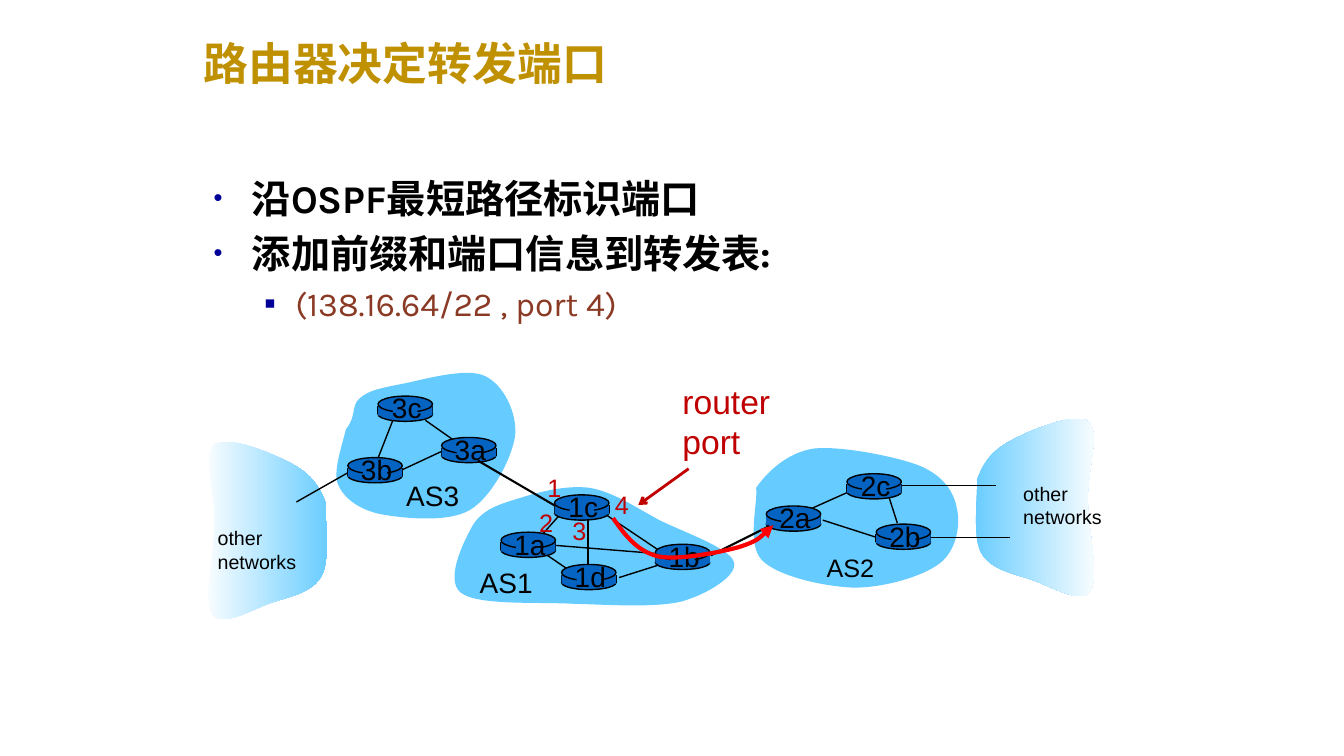
import pptx
import pptx.util
import pptx.dml.color
import pptx.enum.dml
import pptx.enum.shapes
import pptx.enum.text
import pptx.oxml
import pptx.oxml.ns

Inches, Pt = pptx.util.Inches, pptx.util.Pt
SHAPE = pptx.enum.shapes.MSO_SHAPE
ALIGN = pptx.enum.text.PP_ALIGN
ANCHOR = pptx.enum.text.MSO_ANCHOR
AUTO_SIZE = pptx.enum.text.MSO_AUTO_SIZE
qn = pptx.oxml.ns.qn

COLORS = dict(gold="BF9000", black="000000", brown="8A3A24", bullet="000099",
              cloud="66CCFF", white="FFFFFF", router="0563C1", red="FF0000", dark_red="C00000")
TITLE = "路由器决定转发端口"
BODY = [
    dict(text="沿OSPF最短路径标识端口", size=28, bold=True, bullet="•", bullet_size=65,
         left=0.38, hang=0.38),
    dict(text="添加前缀和端口信息到转发表:", size=28, bold=True, bullet="•", bullet_size=65,
         left=0.38, hang=0.38, before=5.5),
    dict(text="(138.16.64/22 , port 4)", size=24, color="brown", bullet="▪", bullet_size=100,
         left=0.81, hang=0.31, before=4.5),
]

# Each outline is a start point followed by Bezier segments (control, control, end).
AS2_CLOUD = [(7.5, 4.84), (7.61, 4.68, 7.81, 4.49, 8.07, 4.45), (8.34, 4.42, 8.89, 4.53, 9.12, 4.62),
             (9.36, 4.72, 9.46, 4.88, 9.49, 5.04), (9.53, 5.2, 9.49, 5.46, 9.32, 5.59),
             (9.15, 5.72, 8.77, 5.83, 8.47, 5.83), (8.18, 5.82, 7.72, 5.72, 7.56, 5.56),
             (7.4, 5.4, 7.52, 4.99, 7.5, 4.84)]
AS3_CLOUD = [(3.43, 4.26), (3.54, 4.13, 3.48, 4.02, 3.57, 3.95), (3.66, 3.87, 3.78, 3.85, 3.98, 3.81),
             (4.19, 3.77, 4.62, 3.64, 4.81, 3.73), (5, 3.82, 5.13, 4.1, 5.11, 4.32),
             (5.08, 4.54, 4.88, 4.93, 4.66, 5.06), (4.44, 5.19, 3.99, 5.14, 3.77, 5.1),
             (3.55, 5.05, 3.41, 4.94, 3.35, 4.8), (3.3, 4.66, 3.41, 4.37, 3.43, 4.26)]
AS1_CLOUD = [(4.69, 5.21), (4.79, 5.05, 4.96, 5, 5.16, 4.94), (5.35, 4.88, 5.62, 4.81, 5.85, 4.84),
             (6.08, 4.88, 6.3, 5.03, 6.54, 5.16), (6.78, 5.28, 7.25, 5.44, 7.28, 5.58),
             (7.32, 5.71, 7.01, 5.9, 6.75, 5.97), (6.48, 6.03, 6.04, 6, 5.68, 5.99),
             (5.32, 5.97, 4.74, 6.01, 4.57, 5.88), (4.41, 5.75, 4.6, 5.37, 4.69, 5.21)]
OUTER_CLOUD = [(9.69, 4.76), (9.75, 4.6, 9.83, 4.48, 10.01, 4.38), (10.19, 4.28, 10.66, 4.08, 10.79, 4.18),
               (10.92, 4.27, 10.78, 4.68, 10.79, 4.96), (10.79, 5.25, 10.91, 5.74, 10.81, 5.87),
               (10.72, 6, 10.41, 5.81, 10.23, 5.75), (10.05, 5.69, 9.82, 5.65, 9.73, 5.48),
               (9.64, 5.32, 9.7, 4.91, 9.69, 4.76)]
MIRROR_SUM, MIRROR_DROP = 12.92, 0.23  # the left outer cloud mirrors the right one
ROUTE = [(6.08, 5.14), (6.2, 5.31, 6.32, 5.47, 6.53, 5.52), (6.73, 5.56, 7.13, 5.48, 7.32, 5.43),
         (7.51, 5.37, 7.59, 5.29, 7.67, 5.21)]

ROUTERS = {"3b": (3.45, 4.54), "3c": (3.75, 3.93), "3a": (4.38, 4.34), "1c": (5.5, 4.91),
           "1a": (4.97, 5.28), "1d": (5.57, 5.6), "1b": (6.5, 5.4), "2a": (7.6, 5.02),
           "2c": (8.4, 4.7), "2b": (8.69, 5.2)}
LINKS = [  # x1, y1, x2, y2, width in points
    (3.99, 4.66, 4.42, 4.46, 1), (4.49, 4.36, 4.22, 4.17, 1), (3.9, 4.16, 3.74, 4.57, 1),
    (5.55, 5.11, 5.39, 5.29, 1), (5.83, 5.15, 5.83, 5.65, 1), (6, 5.1, 6.55, 5.47, 1),
    (6.55, 5.6, 6.14, 5.73, 1), (6.49, 5.49, 5.5, 5.41, 1), (5.4, 5.49, 5.62, 5.64, 1),
    (7.97, 5.08, 8.44, 4.87, 1), (8.16, 5.16, 8.69, 5.33, 1), (8.82, 4.94, 8.9, 5.19, 1),
    (8.94, 4.82, 9.88, 4.82, 0.75), (9.22, 5.33, 10.02, 5.33, 0.75), (3.45, 4.69, 2.94, 4.98, 1)]
BORDER_LINKS = [(7.05, 5.51, 7.63, 5.22, 1.5), (4.74, 4.57, 5.51, 5.02, 1.5)]
LABELS = [  # lines, box, size, colour
    (["AS3"], (3.93, 4.7, 0.73, 0.43), 20, "black"), (["AS2"], (8.1, 5.43, 0.67, 0.4), 18, "black"),
    (["AS1"], (4.66, 5.56, 0.73, 0.43), 20, "black"),
    (["other", "networks"], (10.05, 4.73, 0.99, 0.57), 14, "black"),
    (["other", "networks"], (2.06, 5.17, 0.99, 0.57), 14, "black"),
    (["router\vport"], (6.67, 3.73, 1.09, 0.91), 24, "dark_red"),
    (["1"], (5.33, 4.64, 0.34, 0.4), 18, "dark_red"), (["2"], (5.25, 4.98, 0.33, 0.4), 18, "dark_red"),
    (["3"], (5.58, 5.06, 0.34, 0.4), 18, "dark_red"), (["4"], (6, 4.81, 0.34, 0.4), 18, "dark_red")]

prs = pptx.Presentation()
prs.slide_width, prs.slide_height = Inches(13.33), Inches(7.5)
slide = prs.slides.add_slide(prs.slide_layouts[6])


def rgb(name):
    return pptx.dml.color.RGBColor.from_string(COLORS[name])


def add_bullet(p, char, percent, left, hang):
    pPr = p._p.get_or_add_pPr()
    pPr.set("marL", str(Inches(left)))
    pPr.set("indent", str(-Inches(hang)))
    color = pPr.makeelement(qn("a:buClr"), {})
    color.append(color.makeelement(qn("a:srgbClr"), {"val": COLORS["bullet"]}))
    pPr.append(color)
    pPr.append(pPr.makeelement(qn("a:buSzPct"), {"val": str(percent * 1000)}))
    pPr.append(pPr.makeelement(qn("a:buFont"), {"typeface": "Arial"}))
    pPr.append(pPr.makeelement(qn("a:buChar"), {"char": char}))


def add_text(shapes, paragraphs, box, wrap=False, anchor=ANCHOR.TOP, align=ALIGN.LEFT, **style):
    """Add a text box; each paragraph is a string or a dict overriding the shared style."""
    tf = shapes.add_textbox(*map(Inches, box)).text_frame
    tf.word_wrap, tf.vertical_anchor = wrap, anchor
    tf.auto_size = AUTO_SIZE.NONE if wrap else AUTO_SIZE.SHAPE_TO_FIT_TEXT
    for i, item in enumerate(paragraphs):
        fmt = {**style, **(item if isinstance(item, dict) else {"text": item})}
        p = tf.paragraphs[0] if i == 0 else tf.add_paragraph()
        p.text, p.alignment = fmt["text"], align
        if "before" in fmt:
            p.space_before = Pt(fmt["before"])
        if "bullet" in fmt:
            add_bullet(p, fmt["bullet"], fmt["bullet_size"], fmt["left"], fmt["hang"])
        for r in p.runs:
            r.font.name, r.font.size = fmt["font"], Pt(fmt["size"])
            r.font.bold = fmt.get("bold", False)
            r.font.color.rgb = rgb(fmt["color"])


def add_line(shapes, x1, y1, x2, y2, width=1, color="black", head=None):
    line = shapes.add_connector(pptx.enum.shapes.MSO_CONNECTOR.STRAIGHT,
                                *map(Inches, (x1, y1, x2, y2)))
    line.line.width, line.line.color.rgb = Pt(width), rgb(color)
    spPr = line._element.spPr
    spPr.append(spPr.makeelement(qn("a:effectLst"), {}))
    if head:
        add_head(line, head)


def add_head(sp, kind):
    ln = sp.line._get_or_add_ln()
    ln.append(ln.makeelement(qn("a:tailEnd"), {"type": kind}))


def add_curve(outline, closed=True):
    """Draw straight pieces through all points, then join each three into a Bezier segment."""
    values = [Inches(v) for segment in outline for v in segment]
    points = list(zip(values[::2], values[1::2]))
    builder = slide.shapes.build_freeform(*points[0])
    builder.add_line_segments(points[1:], close=closed)
    sp = builder.convert_to_shape()
    sp.shadow.inherit = False
    pieces = list(sp._element.iter(qn("a:lnTo")))
    for i in range(0, 3 * (len(outline) - 1), 3):
        curve = pieces[i].makeelement(qn("a:cubicBezTo"), {})
        pieces[i].addprevious(curve)
        for piece in pieces[i:i + 3]:
            curve.append(piece[0])
            piece.getparent().remove(piece)
    return sp


def add_cloud(outline, gradient=None):
    sp = add_curve(outline)
    sp.line.fill.background()
    if gradient:
        sp.fill.gradient()
        sp.fill.gradient_angle = 0
        for stop, name in zip(sp.fill.gradient_stops, gradient):
            stop.color.rgb = rgb(name)
    else:
        sp.fill.solid()
        sp.fill.fore_color.rgb = rgb("cloud")


def add_router(name, x, y):
    shapes = slide.shapes.add_group_shape().shapes

    def add_part(kind, box, outlined):
        sp = shapes.add_shape(kind, *map(Inches, box))
        sp.shadow.inherit = False
        sp.fill.solid()
        sp.fill.fore_color.rgb = rgb("router")
        if outlined:
            sp.line.width, sp.line.color.rgb = Pt(1), rgb("black")
        else:
            sp.line.fill.background()

    add_part(SHAPE.OVAL, (x, y + 0.11, 0.54, 0.14), True)
    for side in (x, x + 0.54):
        add_line(shapes, side, y + 0.1, side, y + 0.18)
    add_part(SHAPE.RECTANGLE, (x, y + 0.1, 0.54, 0.09), False)
    add_part(SHAPE.OVAL, (x, y, 0.54, 0.16), True)
    add_part(SHAPE.RECTANGLE, (x + 0.15, y + 0.02, 0.24, 0.2), False)
    add_text(shapes, [name], (x + 0.03, y - 0.1, 0.51, 0.43), align=ALIGN.CENTER,
             font="Arial", size=20, color="black")


add_text(slide.shapes, [TITLE], (1.92, 0, 8.5, 1.25), wrap=True, anchor=ANCHOR.MIDDLE,
         font="Karla", size=32, bold=True, color="gold")
add_text(slide.shapes, BODY, (2.02, 1.68, 9.08, 2.25), wrap=True, font="Karla", color="black")

left_cloud = [tuple(MIRROR_SUM - v if i % 2 == 0 else v + MIRROR_DROP for i, v in enumerate(segment))
              for segment in OUTER_CLOUD]
add_cloud(OUTER_CLOUD, ("cloud", "white"))
add_cloud(left_cloud, ("white", "cloud"))
for cloud in (AS2_CLOUD, AS3_CLOUD, AS1_CLOUD):
    add_cloud(cloud)
for link in LINKS:
    add_line(slide.shapes, *link)
for name, (x, y) in ROUTERS.items():
    add_router(name, x, y)
for link in BORDER_LINKS:
    add_line(slide.shapes, *link)

route = add_curve(ROUTE, closed=False)
route.fill.background()
route.line.width, route.line.color.rgb = Pt(3), rgb("red")
add_head(route, "triangle")
add_line(slide.shapes, 6.83, 4.65, 6.33, 5.01, width=2, color="dark_red", head="arrow")
for lines, box, size, color in LABELS:
    add_text(slide.shapes, lines, box, font="Arial", size=size, color=color)

prs.save("out.pptx")
